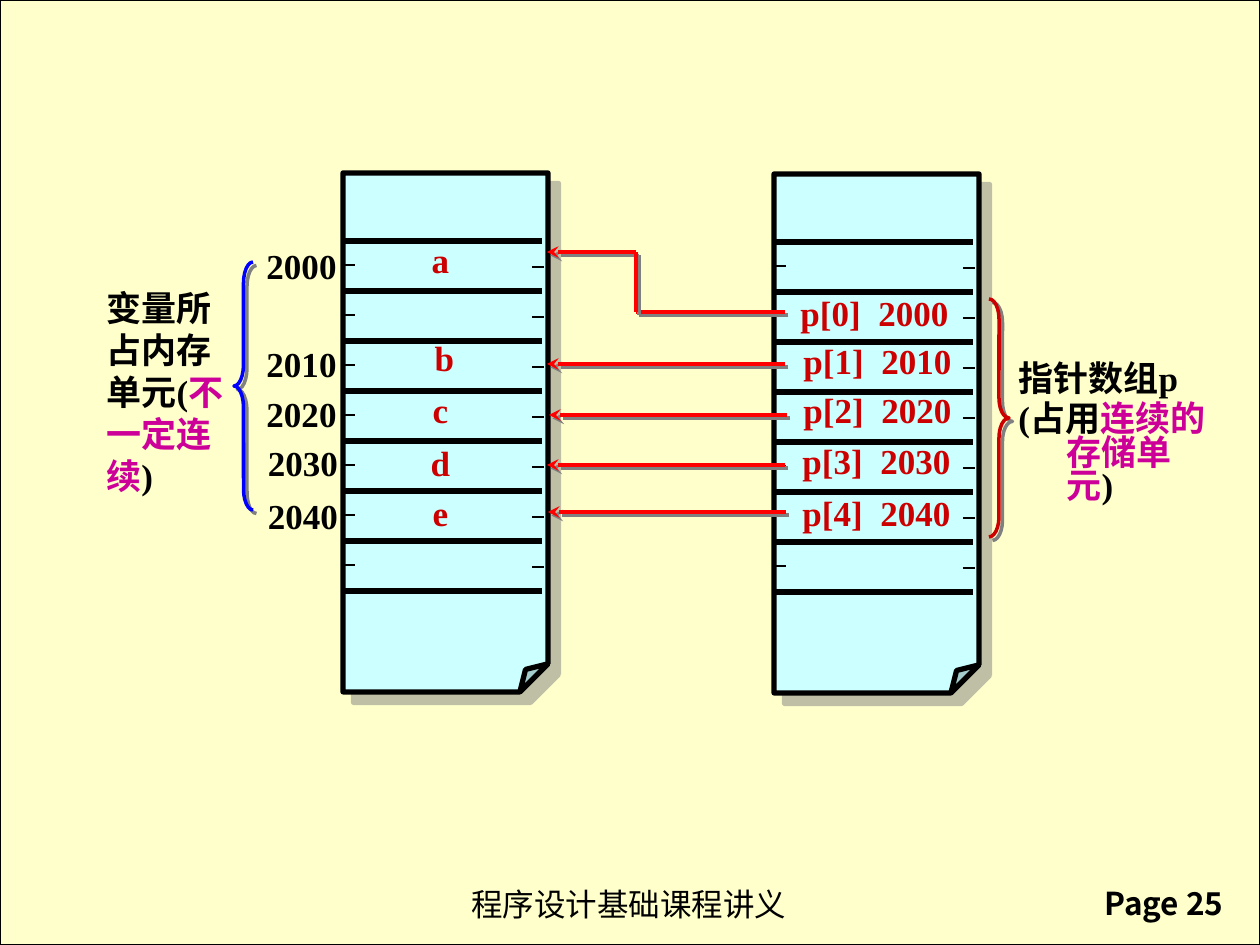
from dataclasses import dataclass
from typing import Any, Optional

import lxml.etree
import pptx
import pptx.dml.color
import pptx.enum.shapes
import pptx.enum.text
import pptx.oxml.ns
import pptx.util

KIND = pptx.enum.shapes.MSO_SHAPE
ALIGN = pptx.enum.text.PP_ALIGN
SCALE = 914400 / 126  # EMU in one px
BLACK, RED, PINK = "000000", "CC0000", "CC0099"
SERIF, SANS, HAN = "Times New Roman", "Arial", "Noto Sans CJK SC"
ROW = 50


@dataclass
class Run:
    text: str
    color: str = BLACK
    font: str = SERIF
    size: int = 20
    bold: bool = True
    space: int = 0  # extra letter space, in hundredths of a point


@dataclass
class Shade:
    dist: float
    alpha: int


@dataclass
class Label:
    x: int
    y: int
    w: int
    h: int
    runs: list[Run]
    align: Any = ALIGN.CENTER
    wrap: bool = True


@dataclass
class Arrow:
    x1: int
    y1: int
    x2: int
    y2: int
    head: bool = True


SOFT, HARD = Shade(8.5, 50), Shade(2.8, 100)


def px(num: int) -> int:
    return round(num * SCALE)


def rgb(code: str) -> Any:
    return pptx.dml.color.RGBColor.from_string(code)


def sub(node: Any, tag: str, **attrs: str) -> Any:
    return lxml.etree.SubElement(node, pptx.oxml.ns.qn(tag), attrs)


def finish(item: Any, color: str, width: float, shade: Optional[Shade]) -> None:
    """Set the outline and, after it, the shadow (or none)."""
    item.line.color.rgb = rgb(color)
    item.line.width = pptx.util.Pt(width)
    effects = sub(item.element.spPr, "a:effectLst")
    if shade:
        outer = sub(effects, "a:outerShdw", blurRad="0", dist=str(int(pptx.util.Pt(shade.dist))),
                    dir="2700000", algn="ctr", rotWithShape="0")
        sub(sub(outer, "a:srgbClr", val="808080"), "a:alpha", val=str(shade.alpha * 1000))


def shape(on: Any, kind: Any, x: int, y: int, w: int, h: int, fill: Optional[str],
          color: str, width: float, shade: Optional[Shade] = None) -> Any:
    item = on.add_shape(kind, px(x), px(y), px(w), px(h))
    if fill:
        item.fill.solid()
        item.fill.fore_color.rgb = rgb(fill)
    else:
        item.fill.background()
    finish(item, color, width, shade)
    return item


def line(on: Any, x1: int, y1: int, x2: int, y2: int, color: str, width: float,
         shade: Optional[Shade] = None) -> Any:
    item = on.add_connector(pptx.enum.shapes.MSO_CONNECTOR.STRAIGHT,
                            px(x1), px(y1), px(x2), px(y2))
    finish(item, color, width, shade)
    return item


def arrow(on: Any, a: Arrow) -> None:
    item = line(on, a.x1, a.y1, a.x2, a.y2, "FF0000", 2.25, HARD)
    if a.head:
        sub(item.element.spPr.find(pptx.oxml.ns.qn("a:ln")), "a:tailEnd", type="stealth")


def write(para: Any, runs: list[Run]) -> None:
    for part in runs:
        run = para.add_run()
        run.text = part.text
        run.font.name, run.font.bold = part.font, part.bold
        run.font.size = pptx.util.Pt(part.size)
        run.font.color.rgb = rgb(part.color)
        props = run._r.get_or_add_rPr()
        sub(props, "a:ea", typeface=HAN)
        if part.space:
            props.set("spc", str(part.space))


def label(on: Any, spec: Label) -> Any:
    box = on.add_textbox(px(spec.x), px(spec.y), px(spec.w), px(spec.h))
    frame = box.text_frame
    frame.word_wrap = spec.wrap
    frame.auto_size = pptx.enum.text.MSO_AUTO_SIZE.SHAPE_TO_FIT_TEXT
    frame.paragraphs[0].alignment = spec.align
    write(frame.paragraphs[0], spec.runs)
    return frame


def sheet(on: Any, x: int, y: int) -> None:
    """A folded page ruled into memory cells, with a tick at each side."""
    leaf = shape(on, KIND.FOLDED_CORNER, x, y, 205, 519, "CCFFFF", BLACK, 3, SOFT)
    guides = leaf.element.spPr.find(".//" + pptx.oxml.ns.qn("a:avLst"))
    sub(guides, "a:gd", name="adj", fmla="val 13700")
    for i in range(8):
        bar = y + 68 + ROW * i
        line(on, x, bar, x + 199, bar, BLACK, 3)
    for i in range(7):
        left, right = y + 92 + ROW * i, y + 94 + ROW * i
        line(on, x, left, x + 12, left, BLACK, 0.75)
        line(on, x + 189, right, x + 201, right, BLACK, 0.75)


def main() -> None:
    deck = pptx.Presentation()
    deck.slide_width, deck.slide_height = px(1260), px(945)
    slide = deck.slides.add_slide(deck.slide_layouts[6])
    page = slide.shapes

    # Page and footer
    shape(page, KIND.RECTANGLE, 0, 0, 1260, 945, "FFFFCC", BLACK, 0.75)
    label(page, Label(459, 879, 344, 50, [Run("程序设计基础课程讲义", font=SANS, size=18, bold=False)],
                      ALIGN.LEFT, False))
    label(page, Label(1092, 878, 161, 50, [Run("Page 25", font=HAN, size=18)], ALIGN.LEFT, False))

    # Variables: addresses, names, brace and note
    cells = page.add_group_shape().shapes
    sheet(cells, 343, 173)
    for addr, y in (("2000", 238), ("2010", 336), ("2020", 386)):
        label(cells, Label(254, y, 95, 54, [Run(addr)], wrap=False))
    for addr, y in (("2030", 435), ("2040", 488)):
        label(cells, Label(223, y, 160, 54, [Run(addr)]))
    brace = shape(cells, KIND.LEFT_BRACE, 234, 262, 19, 248, None, "0000FF", 2, HARD)
    brace.adjustments[0] = 1.11
    label(cells, Label(94, 280, 159, 223,
                       [Run("变量所占内存单元("), Run("不一定连续", PINK), Run(")")], ALIGN.LEFT))
    for name, x, y in (("a", 354, 232), ("b", 358, 330), ("c", 354, 382),
                       ("d", 354, 435), ("e", 354, 485)):
        label(cells, Label(x, y, 173, 54, [Run(name, RED)]))

    # Pointer array: cells, brace and note
    array = page.add_group_shape().shapes
    sheet(array, 774, 174)
    for i, (x, y) in enumerate(((767, 285), (770, 333), (770, 382), (769, 433), (769, 485))):
        cell = [Run(f"p[{i}]", RED), Run(" ", RED, space=500), Run(str(2000 + 10 * i), RED)]
        label(array, Label(x, y, 215, 54, cell))
    brace = shape(array, KIND.RIGHT_BRACE, 989, 299, 20, 238, None, RED, 2, HARD)
    brace.adjustments[0] = 1
    note = label(array, Label(1006, 358, 223, 122, [Run("指针数组p")], ALIGN.LEFT))
    write(note.add_paragraph(), [Run("(占用"), Run("连续的存储单元", PINK), Run(")")])
    for para in note.paragraphs:
        para.line_spacing = 0.8
        para.space_before = pptx.util.Pt(4)
        props = para._p.get_or_add_pPr()
        props.set("marL", str(px(48)))
        props.set("indent", str(-px(48)))

    # Arrows from pointers to variables; the first one is stepped
    step = page.add_group_shape().shapes
    for part in (Arrow(636, 252, 547, 252), Arrow(785, 312, 636, 312, False),
                 Arrow(636, 252, 636, 312, False)):
        arrow(step, part)
    for x, y in ((547, 364), (549, 415), (547, 465), (548, 512)):
        arrow(page, Arrow(x + 238, y, x, y))

    deck.save("out.pptx")


if __name__ == "__main__":
    main()
